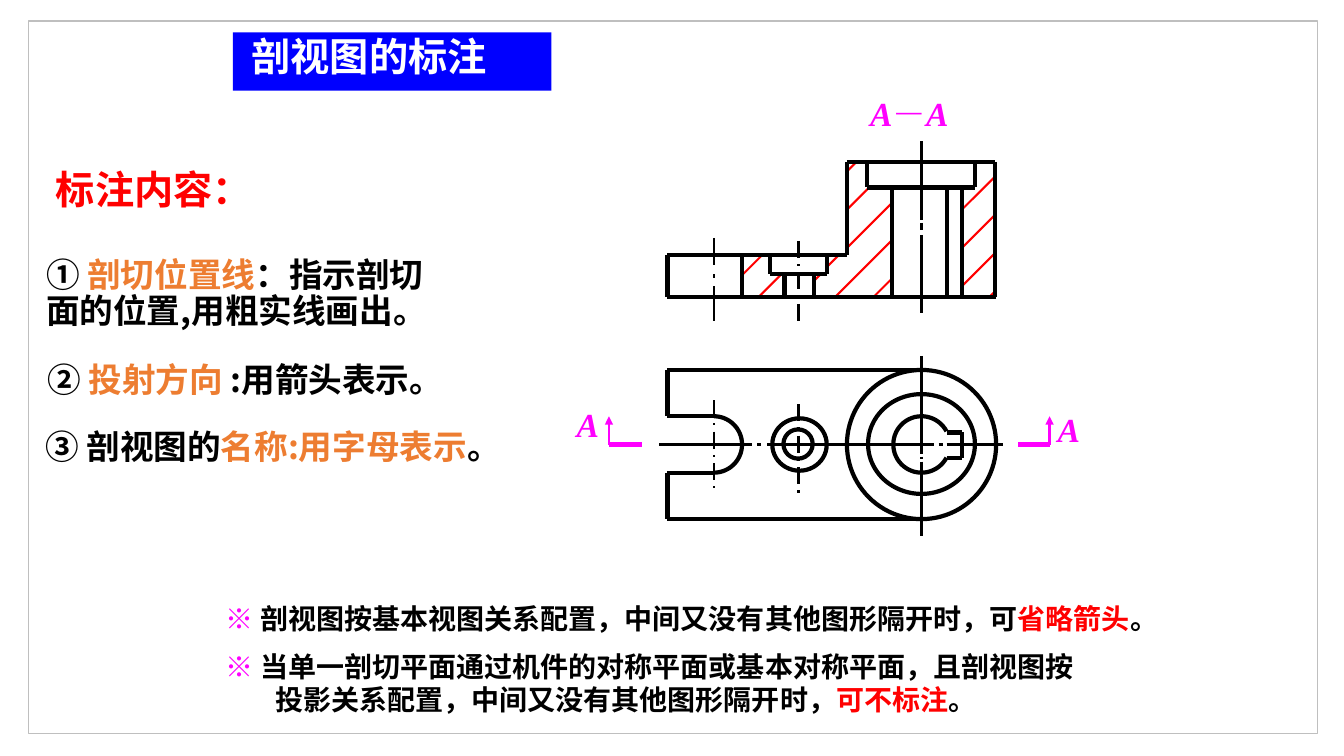
import math

import pptx
import pptx.dml.color
import pptx.enum.dml
import pptx.enum.shapes
import pptx.enum.text
import pptx.oxml
import pptx.util
import lxml.etree

RGBColor = pptx.dml.color.RGBColor
BLACK = RGBColor(0x00, 0x00, 0x00)
WHITE = RGBColor(0xFF, 0xFF, 0xFF)
RED = RGBColor(0xFF, 0x00, 0x00)
BLUE = RGBColor(0x00, 0x00, 0xFF)
MAGENTA = RGBColor(0xFF, 0x00, 0xFF)
ORANGE = RGBColor(0xED, 0x7D, 0x31)
GRAY = RGBColor(0xBF, 0xBF, 0xBF)

SHAPE = pptx.enum.shapes.MSO_SHAPE
ALIGN = pptx.enum.text.PP_ALIGN
ANCHOR = pptx.enum.text.MSO_ANCHOR
DASH_DOT = pptx.enum.dml.MSO_LINE.LONG_DASH_DOT
HAN_FONT = "Noto Sans CJK SC"
LATIN_FONT = "Times New Roman"
OUTLINE, THIN = 3, 1.5


def px(length):
    return round(length * 9144)


def add_child(parent, tag, **attributes):
    child = lxml.etree.SubElement(parent, pptx.oxml.ns.qn(tag))
    for name, value in attributes.items():
        child.set(name, value)


def add_text(slide, box, runs, size, font=HAN_FONT, align=ALIGN.LEFT, anchor=ANCHOR.TOP,
             spacing=None, hanging=0, inset=None, wrap=True, fill=None):
    """Each run is (text, colour) or (text, colour, italic)."""
    box = [px(length) for length in box]
    if fill is None:
        shape = slide.shapes.add_textbox(*box)
    else:
        shape = slide.shapes.add_shape(SHAPE.RECTANGLE, *box)
        shape.shadow.inherit = False
        shape.fill.solid()
        shape.fill.fore_color.rgb = fill
        shape.line.fill.background()
    frame = shape.text_frame
    frame.word_wrap = wrap
    frame.vertical_anchor = anchor
    if fill is None:
        frame.auto_size = pptx.enum.text.MSO_AUTO_SIZE.SHAPE_TO_FIT_TEXT
    if inset is not None:
        frame.margin_left = frame.margin_right = px(inset)
        frame.margin_top = frame.margin_bottom = px(inset)
    paragraph = frame.paragraphs[0]
    paragraph.alignment = align
    if spacing:
        paragraph.line_spacing = spacing
    if hanging:
        properties = paragraph._p.get_or_add_pPr()
        properties.set("marL", str(px(hanging)))
        properties.set("indent", str(-px(hanging)))
    for text, colour, *italic in runs:
        run = paragraph.add_run()
        run.text = text
        run.font.size = pptx.util.Pt(size)
        run.font.bold = True
        run.font.italic = italic[0] if italic else None
        run.font.color.rgb = colour
        run.font.name = font
        add_child(run._r.get_or_add_rPr(), "a:ea", typeface=font)


def add_line(slide, start, end, width=OUTLINE, colour=BLACK, dash=None, arrow=False):
    line = slide.shapes.add_connector(pptx.enum.shapes.MSO_CONNECTOR.STRAIGHT,
                                      *map(px, (*start, *end)))
    line.line.color.rgb = colour
    line.line.width = pptx.util.Pt(width)
    if dash:
        line.line.dash_style = dash
    if arrow:
        add_child(line.line._get_or_add_ln(), "a:tailEnd", type="triangle")
    add_child(line._element.spPr, "a:effectLst")


def style_hollow(shape, width=OUTLINE, colour=BLACK):
    shape.shadow.inherit = False
    shape.fill.background()
    shape.line.color.rgb = colour
    shape.line.width = pptx.util.Pt(width)


def add_arc(slide, centre, radius, start, end):
    """Circular arc between two angles in degrees, clockwise from the right."""
    steps = 48
    angles = [math.radians(start + (end - start) * i / steps) for i in range(steps + 1)]
    points = [(px(centre[0] + radius * math.cos(a)), px(centre[1] + radius * math.sin(a)))
              for a in angles]
    builder = slide.shapes.build_freeform(*points[0], scale=1.0)
    builder.add_line_segments(points[1:], close=False)
    style_hollow(builder.convert_to_shape())


def draw_verticals(slide, left, top, lines, **style):
    for x, y1, y2 in lines:
        add_line(slide, (left + x, top + y1), (left + x, top + y2), **style)


def draw_horizontals(slide, left, top, lines, **style):
    for y, x1, x2 in lines:
        add_line(slide, (left + x1, top + y), (left + x2, top + y), **style)


def draw_section_view(slide, left, top):
    hatches = [(178, 9, 9), (74, 112, 20), (90, 134, 24), (178, 47, 22), (145, 118, 7),
               (178, 85, 46), (158, 104, 13), (166, 134, 57), (204, 134, 19),
               (292, 47, 34), (292, 85, 34), (292, 123, 34), (319, 134, 7)]
    for x, y, run in hatches:
        add_line(slide, (left + x, top + y), (left + x + run, top + y - run), THIN, RED)
    draw_verticals(slide, left, top, [
        (0, 92, 134), (74, 92, 134), (178, 0, 92), (325, 0, 134),
        (102, 92, 111), (158, 92, 111), (116, 111, 134), (145, 111, 134),
        (198, 0, 25), (305, 0, 25), (223, 25, 134), (277, 25, 134), (292, 25, 134)])
    draw_horizontals(slide, left, top, [
        (134, 0, 326), (92, 0, 178), (0, 178, 325), (25, 198, 305), (111, 102, 158)])
    draw_verticals(slide, left, top, [
        (46, 75, 102), (46, 111, 115), (46, 123, 157),
        (252, -21, 57), (252, 60, 67), (252, 72, 150)], width=THIN)
    draw_verticals(slide, left, top, [(130, 78, 158)], width=THIN, dash=DASH_DOT)


def draw_plan_view(slide, left, top):
    axis = 74
    for x, y, width, height in [(178, 0, 148, 148), (199, 24, 106, 99),
                                (115, 59, 29, 29), (104, 48, 54, 52)]:
        style_hollow(slide.shapes.add_shape(
            SHAPE.OVAL, px(left + x), px(top + y), px(width), px(height)))
    add_arc(slide, (left + 46, top + axis), 28, -90, 90)
    add_arc(slide, (left + 252, top + axis), 28, 28, 332)
    draw_horizontals(slide, left, top, [
        (0, 0, 252), (148, 0, 252), (46, 0, 46), (102, 0, 46), (62, 277, 292), (87, 277, 292)])
    draw_verticals(slide, left, top, [(0, 0, 46), (0, 102, 148), (292, 62, 87)])
    draw_horizontals(slide, left, top, [
        (axis, x1, x2) for x1, x2 in
        [(-8, 84), (89, 93), (99, 264), (269, 273), (277, 333)]], width=THIN)
    draw_verticals(slide, left, top, [
        (252, -14, 83), (252, 86, 88), (252, 91, 165)], width=THIN)
    draw_verticals(slide, left, top, [(46, 30, 121), (130, 34, 123)],
                   width=THIN, dash=DASH_DOT)


def add_view_label(slide, box, runs, wrap=True):
    add_text(slide, box, runs, 24, font=LATIN_FONT, align=ALIGN.CENTER, inset=0, wrap=wrap)


def draw_cut_mark(slide, left, axis, length, arrow, label_left, label_top):
    """Cutting-plane bar with its viewing arrow and letter, relative to the bar's left end."""
    add_line(slide, (left, axis), (left + length, axis), OUTLINE, MAGENTA)
    add_line(slide, (left + arrow, axis), (left + arrow, axis - 28), 0, MAGENTA, arrow=True)
    add_view_label(slide, (left + label_left, axis + label_top, 22, 40),
                   [("A", MAGENTA, True)], wrap=False)


def draw_drawing(slide, left, top):
    add_view_label(slide, (left + 143, top - 69, 194, 40),
                   [("A", MAGENTA, True), ("－", MAGENTA, False), ("A", MAGENTA, True)])
    draw_section_view(slide, left, top)
    draw_plan_view(slide, left, top + 206)
    draw_cut_mark(slide, left - 58, top + 280, 33, 0, -32, -40)
    draw_cut_mark(slide, left + 348, top + 280, 31, 31, 39, -35)


def write_contents(slide, left, top):
    add_text(slide, (left + 2, top, 231, 57), [("标注内容：", RED)], 28,
             align=ALIGN.CENTER, anchor=ANCHOR.MIDDLE)
    add_text(slide, (left + 1, top + 92, 426, 83),
             [("① ", BLACK), ("剖切位置线", ORANGE), ("：指示剖切面的位置,用粗实线画出。", BLACK)],
             24, anchor=ANCHOR.MIDDLE, spacing=0.9)
    add_text(slide, (left + 2, top + 197, 397, 46),
             [("② ", BLACK), ("投射方向 ", ORANGE), (":用箭头表示。", BLACK)], 24, spacing=0.9)
    add_text(slide, (left, top + 259, 450, 50),
             [("③ 剖视图的", BLACK), ("名称:用字母表示", ORANGE), ("。", BLACK)],
             24, anchor=ANCHOR.MIDDLE)


def write_notes(slide, left, top):
    notes = [
        (0, 943, 44, "剖视图按基本视图关系配置，中间又没有其他图形隔开时，可", "省略箭头"),
        (47, 886, 77, "当单一剖切平面通过机件的对称平面或基本对称平面，且剖视图按"
                      "投影关系配置，中间又没有其他图形隔开时，", "可不标注")]
    for offset, width, height, condition, result in notes:
        add_text(slide, (left, top + offset, width, height),
                 [("※ ", MAGENTA), (condition, BLACK), (result, RED), ("。", BLACK)],
                 20, hanging=49)


def main():
    deck = pptx.Presentation()
    deck.slide_width = pptx.util.Inches(13.33)
    deck.slide_height = pptx.util.Inches(7.5)
    slide = deck.slides.add_slide(deck.slide_layouts[6])
    style_hollow(slide.shapes.add_shape(
        SHAPE.RECTANGLE, px(28), px(21), px(1279), px(707)), 1, GRAY)
    draw_drawing(slide, 662, 161)
    write_notes(slide, 214, 592)
    add_text(slide, (231, 32, 316, 58), [(" 剖视图的标注", WHITE)], 28,
             spacing=0.9, hanging=92, fill=BLUE)
    write_contents(slide, 35, 159)
    deck.save("out.pptx")


if __name__ == "__main__":
    main()
